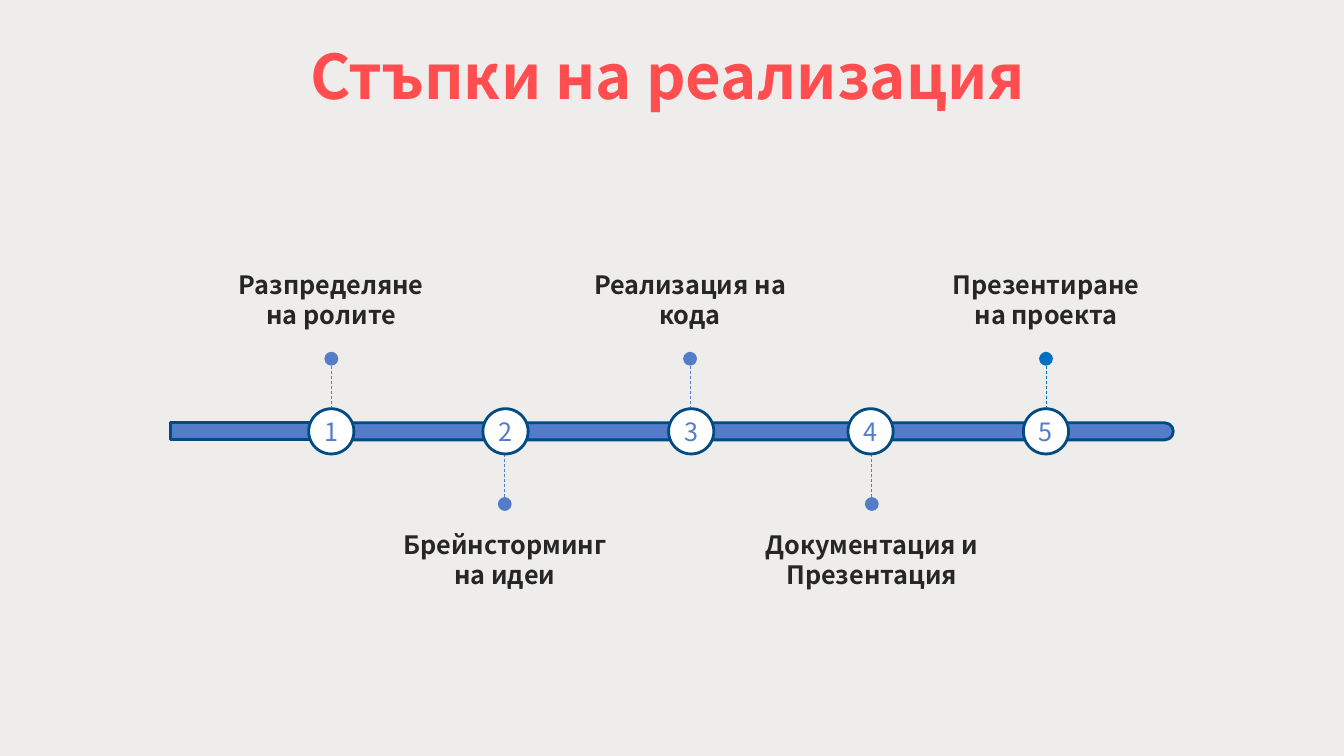
from dataclasses import dataclass

from lxml import etree
from pptx import Presentation
from pptx.dml.color import RGBColor
from pptx.enum.dml import MSO_LINE
from pptx.enum.shapes import MSO_CONNECTOR, MSO_SHAPE
from pptx.enum.text import MSO_ANCHOR, MSO_AUTO_SIZE, PP_ALIGN
from pptx.oxml.ns import qn
from pptx.shapes.autoshape import Shape
from pptx.slide import Slide
from pptx.text.text import TextFrame
from pptx.util import Cm, Pt

PAPER = RGBColor(0xEE, 0xED, 0xEB)
BLUE = RGBColor(0x53, 0x7D, 0xC9)
BRIGHT = RGBColor(0x00, 0x70, 0xC0)
NAVY = RGBColor(0x00, 0x4B, 0x82)
WHITE = RGBColor(0xFF, 0xFF, 0xFF)
DARK = RGBColor(0x26, 0x26, 0x26)
RED = RGBColor(0xFF, 0x4D, 0x50)

RECT = MSO_SHAPE.RECTANGLE
ROUND = MSO_SHAPE.ROUNDED_RECTANGLE
OVAL = MSO_SHAPE.OVAL
LINE = MSO_CONNECTOR.STRAIGHT
DASH = MSO_LINE.DASH
CENTER = PP_ALIGN.CENTER
MIDDLE = MSO_ANCHOR.MIDDLE
TOP = MSO_ANCHOR.TOP
NO_FIT = MSO_AUTO_SIZE.NONE
FONT = "Noto Sans CJK SC"

# Lengths in centimetres
AXIS = 10.87
DISC = 1.14
STEM = 1.26
LABEL_W = 5.92
LABEL_H = 1.8
ABOVE = 6.65
BELOW = 13.21


@dataclass
class Step:
    mid: float
    stem: float
    text: str
    tint: RGBColor = BLUE


@dataclass
class Bar:
    kind: MSO_SHAPE
    left: float
    width: float
    edge: float


BARS = [Bar(ROUND, 8.41, 21.16, 2), Bar(RECT, 4.29, 4.45, 2.25)]
STEPS = [
    Step(8.35, 8.35, "Разпределяне на ролите"),
    Step(12.74, 12.72, "Брейнсторминг на идеи"),
    Step(17.42, 17.39, "Реализация на кода"),
    Step(21.94, 21.97, "Документация и Презентация"),
    Step(26.36, 26.36, "Презентиране на проекта", BRIGHT),
]


def write(frame: TextFrame, text: str, size: float, tint: RGBColor,
          bold: bool = True) -> None:
    para = frame.paragraphs[0]
    para.alignment = CENTER
    run = para.add_run()
    run.text = text
    run.font.name = FONT
    run.font.size = Pt(size)
    run.font.bold = bold
    run.font.color.rgb = tint


def draw(slide: Slide, kind: MSO_SHAPE, left: float, width: float,
         height: float, fill: RGBColor, edge: float) -> Shape:
    """Add an outlined shape centred on the axis."""
    shape = slide.shapes.add_shape(
        kind, Cm(left), Cm(AXIS - height / 2), Cm(width), Cm(height))
    shape.shadow.inherit = False
    shape.fill.solid()
    shape.fill.fore_color.rgb = fill
    shape.line.color.rgb = NAVY
    shape.line.width = Pt(edge)
    return shape


def add_disc(slide: Slide, step: Step, num: int) -> None:
    disc = draw(slide, OVAL, step.mid - DISC / 2, DISC, DISC, WHITE, 2)
    frame = disc.text_frame
    frame.margin_left = frame.margin_right = 0
    frame.margin_top = frame.margin_bottom = 0
    frame.word_wrap = False
    frame.vertical_anchor = MIDDLE
    write(frame, str(num), 18, BLUE, False)


def add_stem(slide: Slide, step: Step, side: int) -> None:
    """Draw a dashed stem from the disc to a dot; side is -1 for up."""
    near = AXIS + side * DISC / 2
    stem = slide.shapes.add_connector(
        LINE, Cm(step.stem), Cm(near), Cm(step.stem), Cm(near + side * STEM))
    stem.line.color.rgb = step.tint
    stem.line.width = Pt(0.5)
    stem.line.dash_style = DASH
    etree.SubElement(stem.line._get_or_add_ln(), qn("a:tailEnd"),
                     type="oval", w="lg", len="lg")
    etree.SubElement(stem._element.spPr, qn("a:effectLst"))


def add_label(slide: Slide, step: Step, side: int) -> None:
    top = ABOVE if side < 0 else BELOW
    box = slide.shapes.add_textbox(
        Cm(step.stem - LABEL_W / 2), Cm(top), Cm(LABEL_W), Cm(LABEL_H))
    box.text_frame.word_wrap = True
    write(box.text_frame, step.text, 18, DARK)


def add_title(slide: Slide) -> None:
    title = slide.shapes.title
    title.left, title.top = Cm(5.59), Cm(0.84)
    title.width, title.height = Cm(22.5), Cm(2.13)
    frame = title.text_frame
    frame.auto_size = NO_FIT
    frame.vertical_anchor = TOP
    write(frame, "Стъпки на реализация", 44, RED)


def main() -> None:
    deck = Presentation()
    deck.slide_width, deck.slide_height = Cm(33.87), Cm(19.05)
    slide = deck.slides.add_slide(deck.slide_layouts[5])
    slide.background.fill.solid()
    slide.background.fill.fore_color.rgb = PAPER
    add_title(slide)

    # Timeline bar
    for bar in BARS:
        shape = draw(slide, bar.kind, bar.left, bar.width, 0.43, BLUE, bar.edge)
        if bar.kind == ROUND:
            shape.adjustments[0] = 0.5

    # Steps alternate above and below the bar
    for num, step in enumerate(STEPS, 1):
        side = -1 if num % 2 else 1
        add_stem(slide, step, side)
        add_disc(slide, step, num)
        add_label(slide, step, side)

    deck.save("out.pptx")


if __name__ == "__main__":
    main()
